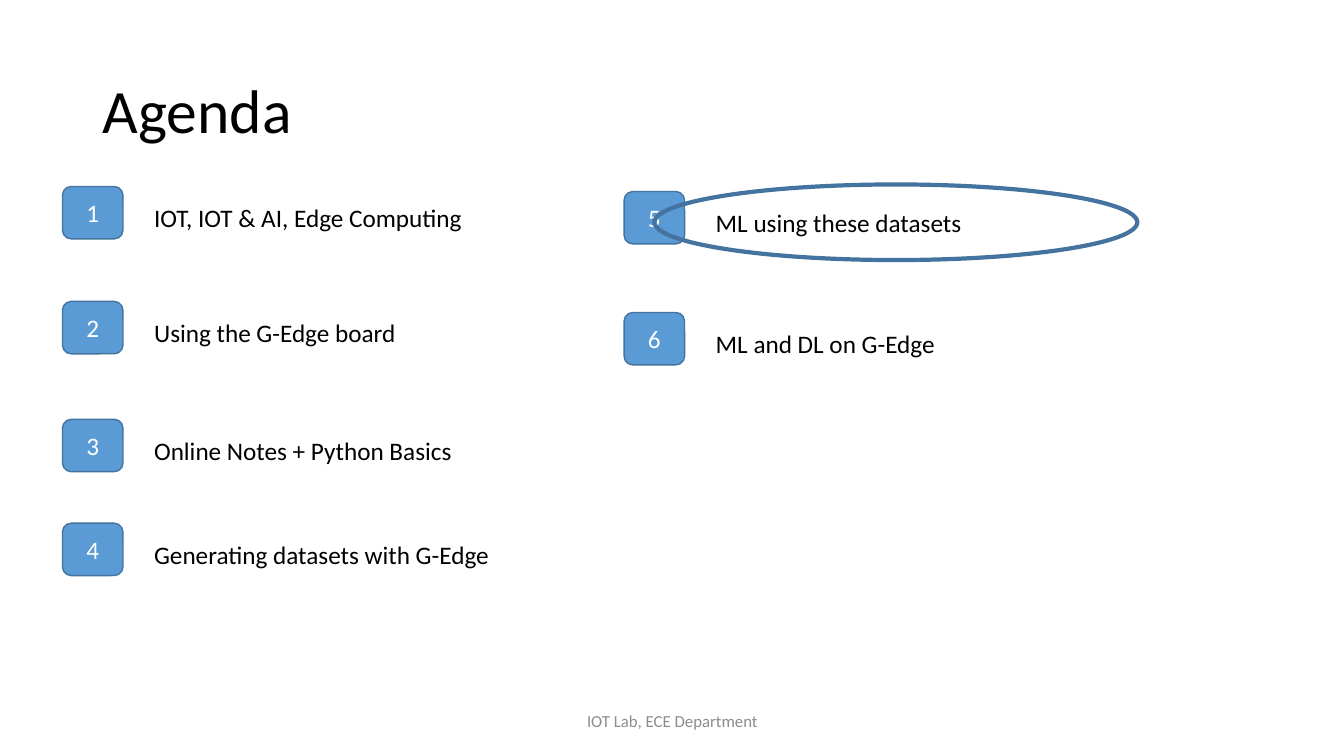
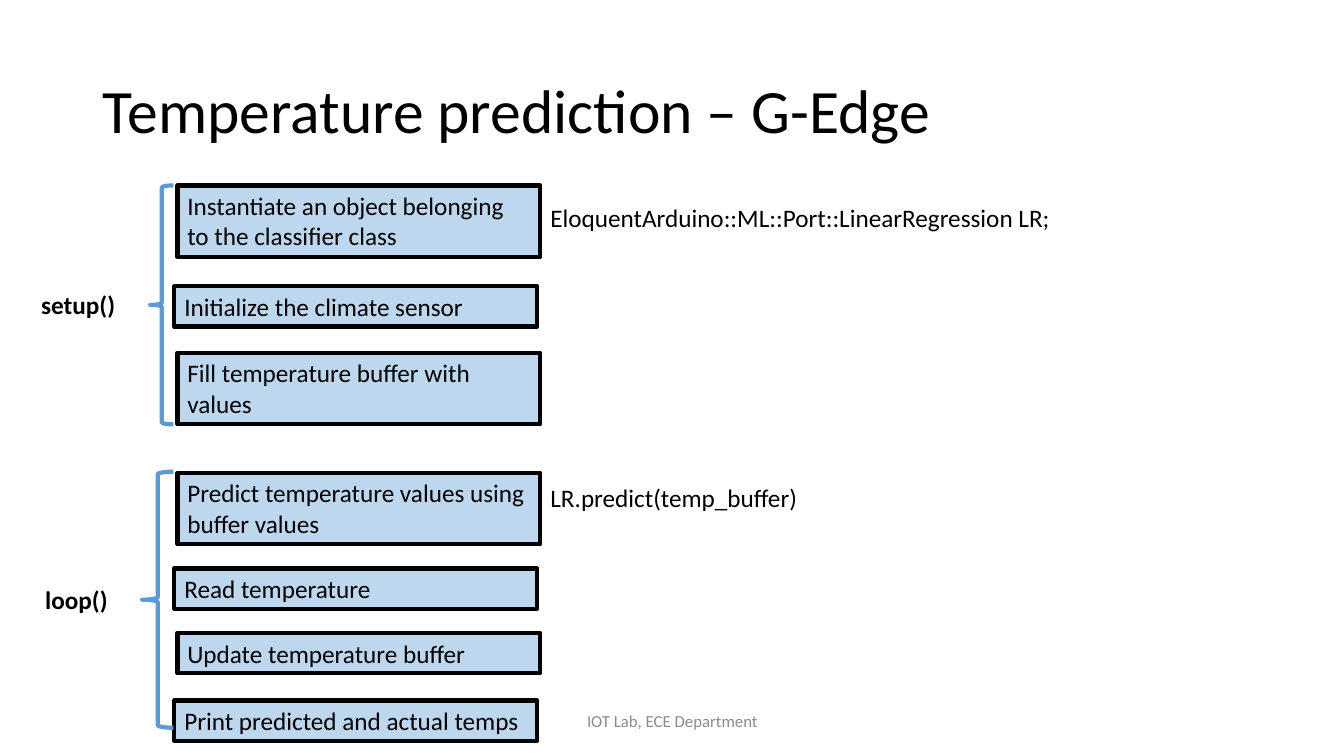
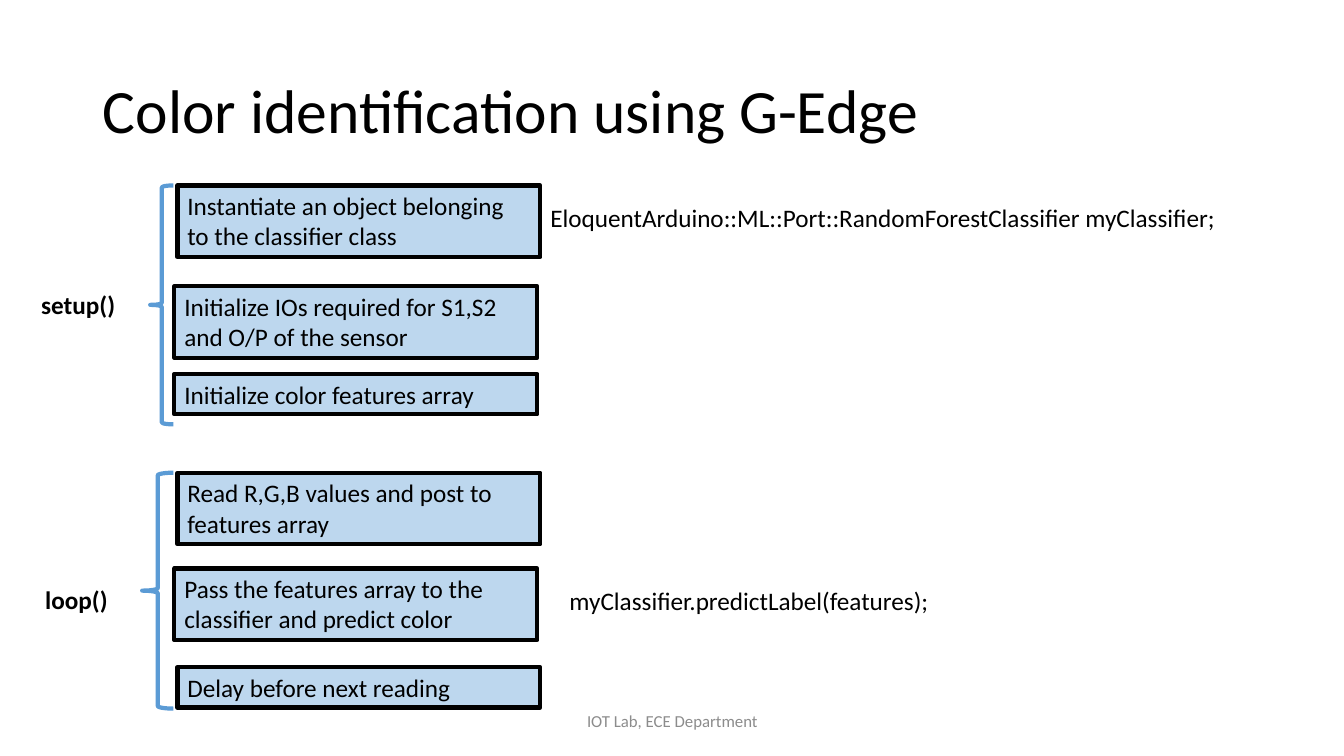
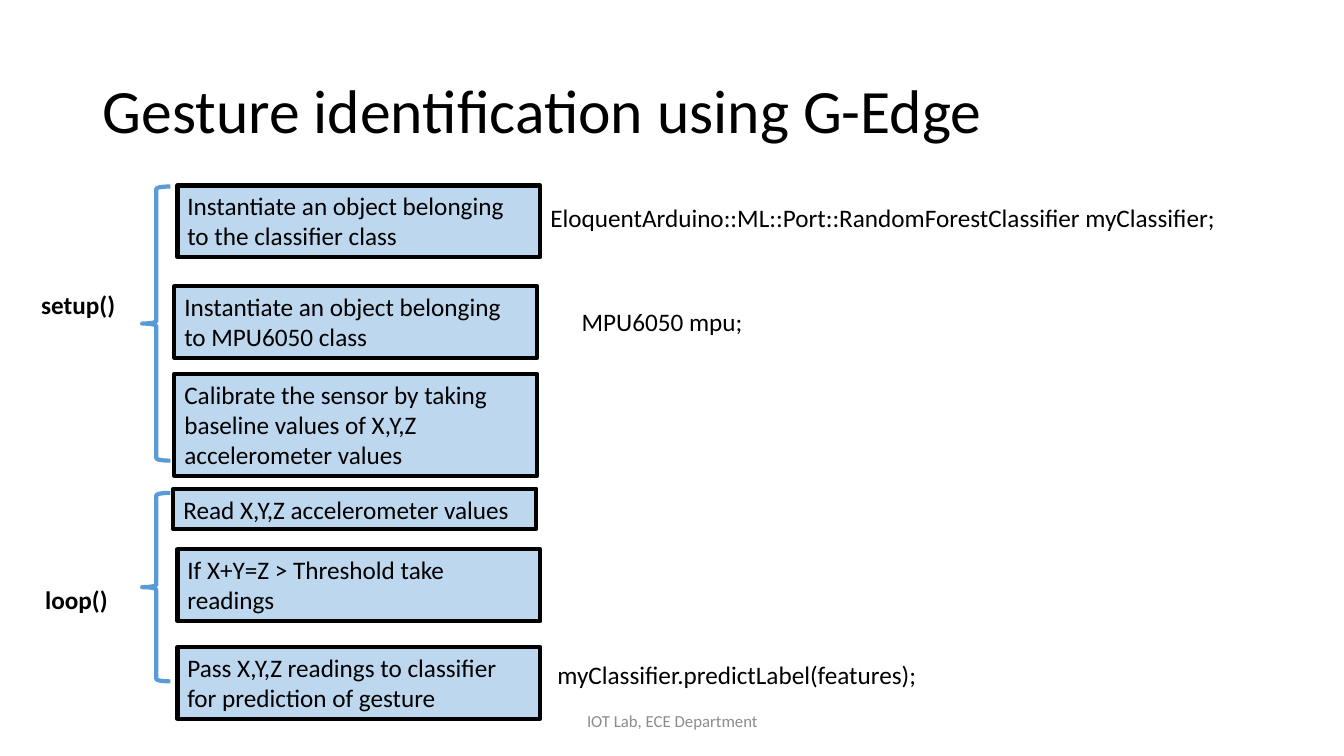
from pptx import Presentation
from pptx.dml.color import RGBColor
from pptx.enum.shapes import MSO_SHAPE
from pptx.enum.text import MSO_ANCHOR, MSO_AUTO_SIZE, PP_ALIGN
from pptx.util import Inches, Pt

# Shared style
FONT = "Calibri"
BLACK = RGBColor(0x00, 0x00, 0x00)
WHITE = RGBColor(0xFF, 0xFF, 0xFF)
GRAY = RGBColor(0x8C, 0x8C, 0x8C)
BLUE = RGBColor(0x5B, 0x9B, 0xD5)
DARK_BLUE = RGBColor(0x43, 0x73, 0x9E)
PALE_BLUE = RGBColor(0xBD, 0xD7, 0xEE)
FOOTER = "IOT Lab, ECE Department"
TITLE_AREA = (0.92, 0.4, 11.5, 1.45)
FOOTER_AREA = (4.42, 6.95, 4.5, 0.4)

# Agenda: (left, top of badge, topic), numbered in order
AGENDA = [
    (0.62, 1.85, "IOT, IOT & AI, Edge Computing"),
    (0.62, 2.99, "Using the G-Edge board"),
    (0.62, 4.16, "Online Notes + Python Basics"),
    (0.62, 5.19, "Generating datasets with G-Edge"),
    (6.19, 1.9, "ML using these datasets"),
    (6.19, 3.1, "ML and DL on G-Edge"),
]
CURRENT_TOPIC_AREA = (6.49, 1.83, 4.79, 0.75)

# Program flows: steps are (left, top, line count, text)
STEP_WIDTH = 3.6
STEP_HEIGHTS = {1: 0.4, 2: 0.71, 3: 1.01}
PHASE_LABELS = [(0.31, 2.82, "setup()"), (0.35, 5.75, "loop()")]
CREATE_CLASSIFIER = (1.76, 1.84, 2, "Instantiate an object belonging to the classifier class")
DECLARE_FOREST = (5.36, 1.96, "EloquentArduino::ML::Port::RandomForestClassifier myClassifier;")
PREDICT_LABEL = "myClassifier.predictLabel(features);"
FLOWS = [
    {
        "title": "Temperature prediction – G-Edge",
        "steps": [
            CREATE_CLASSIFIER,
            (1.73, 2.84, 1, "Initialize the climate sensor"),
            (1.76, 3.5, 2, "Fill temperature buffer with values"),
            (1.76, 4.69, 2, "Predict temperature values using buffer values"),
            (1.73, 5.64, 1, "Read temperature"),
            (1.76, 6.28, 1, "Update temperature buffer"),
            (1.73, 6.95, 1, "Print predicted and actual temps"),
        ],
        "braces": [(1.49, 1.84, 0.23, 2.37), (1.41, 4.68, 0.31, 2.54)],
        "code": [
            (5.36, 1.96, "EloquentArduino::ML::Port::LinearRegression LR;"),
            (5.36, 4.74, "LR.predict(temp_buffer)"),
        ],
    },
    {
        "title": "Color identification using G-Edge",
        "steps": [
            CREATE_CLASSIFIER,
            (1.73, 2.84, 2, "Initialize IOs required for S1,S2 and O/P of the sensor"),
            (1.73, 3.71, 1, "Initialize color features array"),
            (1.76, 4.69, 2, "Read R,G,B values and post to features array"),
            (1.73, 5.64, 2, "Pass the features array to the classifier and predict color"),
            (1.76, 6.62, 1, "Delay before next reading"),
        ],
        "braces": [(1.49, 1.84, 0.23, 2.37), (1.41, 4.69, 0.31, 2.34)],
        "code": [DECLARE_FOREST, (5.55, 5.76, PREDICT_LABEL)],
    },
    {
        "title": "Gesture identification using G-Edge",
        "steps": [
            CREATE_CLASSIFIER,
            (1.73, 2.84, 2, "Instantiate an object belonging to MPU6050 class"),
            (1.73, 3.71, 3, "Calibrate the sensor by taking baseline values of X,Y,Z accelerometer values"),
            (1.72, 4.85, 1, "Read X,Y,Z accelerometer values"),
            (1.76, 5.45, 2, "If X+Y=Z > Threshold take readings"),
            (1.76, 6.42, 2, "Pass X,Y,Z readings to classifier for prediction of gesture"),
        ],
        "braces": [(1.41, 1.85, 0.28, 2.72), (1.41, 4.89, 0.28, 1.87)],
        "code": [DECLARE_FOREST, (5.43, 6.49, PREDICT_LABEL), (5.67, 2.99, "MPU6050 mpu;")],
    },
]


def write(shape, text, size=18, color=BLACK, bold=False,
          align=PP_ALIGN.LEFT, anchor=MSO_ANCHOR.TOP):
    frame = shape.text_frame
    frame.word_wrap = True
    frame.auto_size = MSO_AUTO_SIZE.NONE
    frame.vertical_anchor = anchor
    paragraph = frame.paragraphs[0]
    paragraph.alignment = align
    run = paragraph.add_run()
    run.text = text
    run.font.name = FONT
    run.font.size = Pt(size)
    run.font.bold = bold
    run.font.color.rgb = color
    return paragraph


def add_text(slide, area, text, **style):
    write(slide.shapes.add_textbox(*map(Inches, area)), text, **style)


def add_figure(slide, kind, area, line, weight, fill=None):
    shape = slide.shapes.add_shape(kind, *map(Inches, area))
    shape.shadow.inherit = False
    if fill is None:
        shape.fill.background()
    else:
        shape.fill.solid()
        shape.fill.fore_color.rgb = fill
    shape.line.color.rgb = line
    shape.line.width = Pt(weight)
    return shape


def add_titled_slide(presentation, text):
    slide = presentation.slides.add_slide(presentation.slide_layouts[5])
    title = slide.shapes.title
    title.left, title.top, title.width, title.height = map(Inches, TITLE_AREA)
    write(title, text, size=44, anchor=MSO_ANCHOR.MIDDLE).line_spacing = 0.9
    add_text(slide, FOOTER_AREA, FOOTER, size=12, color=GRAY,
             align=PP_ALIGN.CENTER, anchor=MSO_ANCHOR.MIDDLE)
    return slide


def add_agenda(presentation):
    slide = add_titled_slide(presentation, "Agenda")
    for number, (left, top, topic) in enumerate(AGENDA, 1):
        badge = add_figure(slide, MSO_SHAPE.ROUNDED_RECTANGLE,
                           (left, top, 0.6, 0.52), DARK_BLUE, 1, BLUE)
        write(badge, str(number), color=WHITE,
              align=PP_ALIGN.CENTER, anchor=MSO_ANCHOR.MIDDLE)
        add_text(slide, (left + 0.81, top + 0.11, 3.82, 0.4), topic)
    add_figure(slide, MSO_SHAPE.OVAL, CURRENT_TOPIC_AREA, DARK_BLUE, 3)


def add_flow(presentation, flow):
    slide = add_titled_slide(presentation, flow["title"])
    for left, top, lines, text in flow["steps"]:
        area = (left, top, STEP_WIDTH, STEP_HEIGHTS[lines])
        write(add_figure(slide, MSO_SHAPE.RECTANGLE, area, BLACK, 3, PALE_BLUE), text)
    for area in flow["braces"]:
        add_figure(slide, MSO_SHAPE.LEFT_BRACE, area, BLUE, 3)
    for left, top, text in PHASE_LABELS:
        add_text(slide, (left, top, 1.15, 0.4), text, bold=True)
    for left, top, text in flow["code"]:
        add_text(slide, (left, top, 7.16, 0.4), text)


def main():
    presentation = Presentation()
    presentation.slide_width = Inches(13.33)
    presentation.slide_height = Inches(7.5)
    add_agenda(presentation)
    for flow in FLOWS:
        add_flow(presentation, flow)
    presentation.save("out.pptx")


if __name__ == "__main__":
    main()
